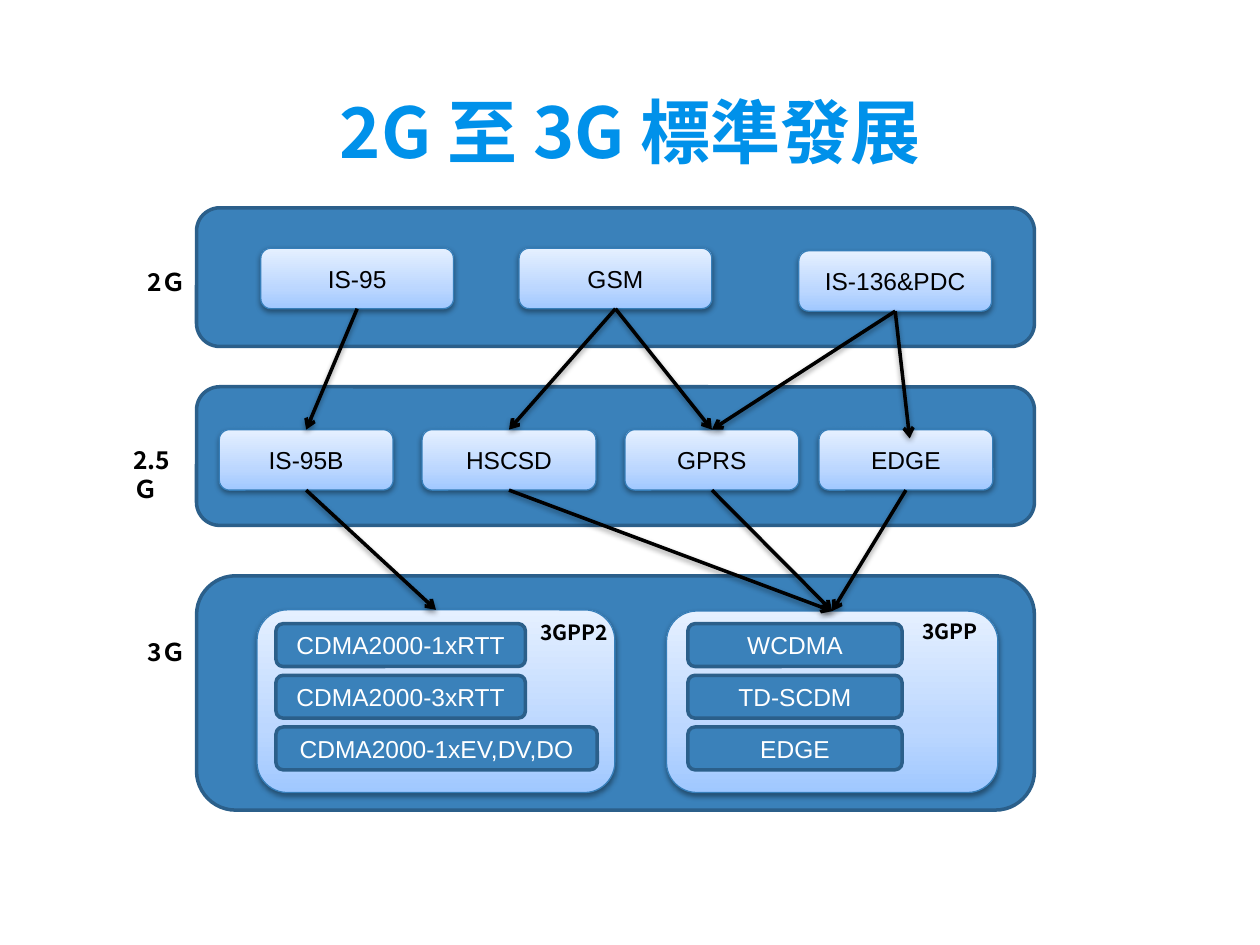
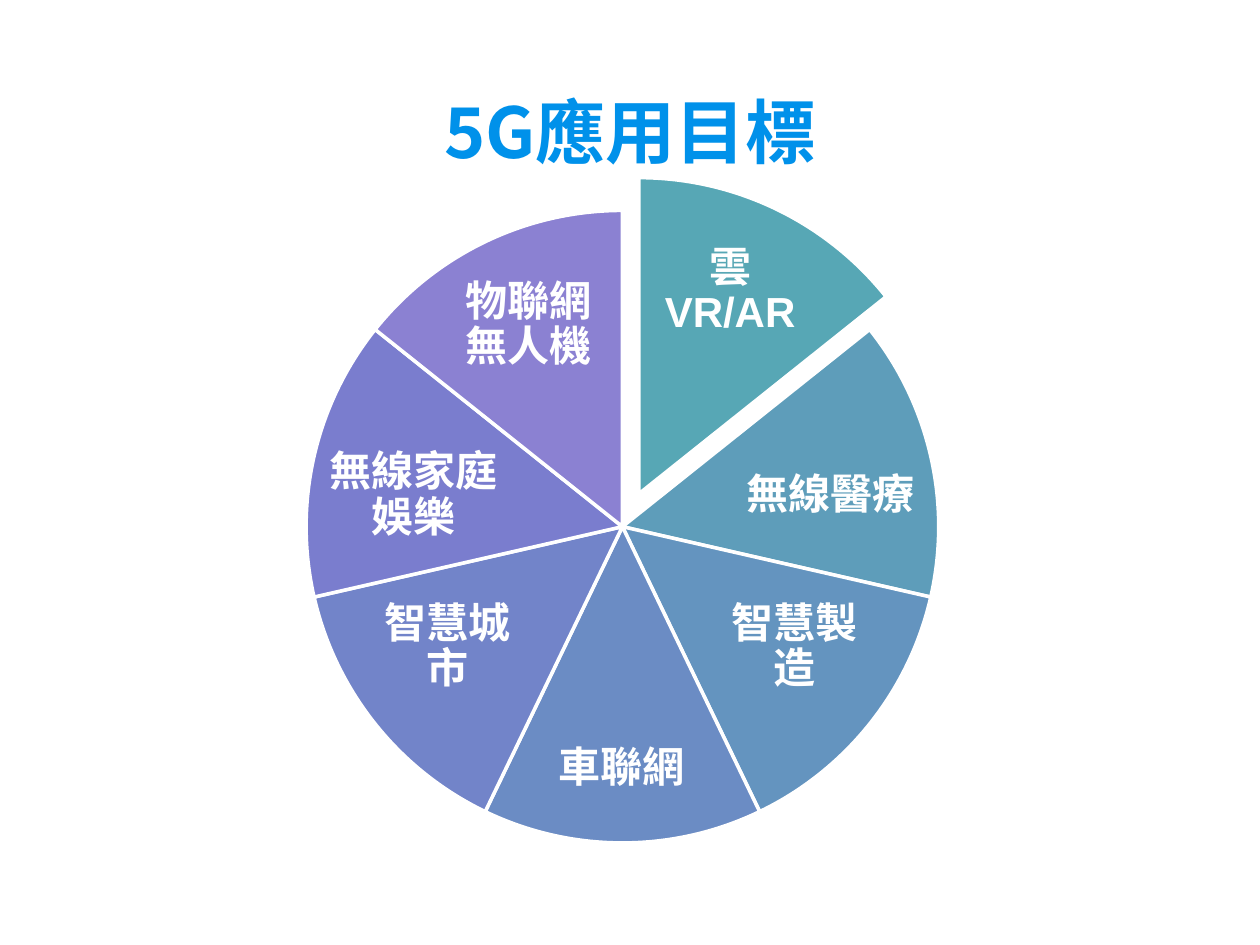
from pptx import Presentation
from pptx.dml.color import RGBColor as RGB
from pptx.enum.shapes import MSO_CONNECTOR as LINE, MSO_SHAPE as FORM
from pptx.enum.text import MSO_ANCHOR as ANCHOR, MSO_AUTO_SIZE as FIT, PP_ALIGN as ALIGN
from pptx.oxml import parse_xml
from pptx.oxml.ns import nsdecls, qn
from pptx.util import Inches, Pt

COLS, ROWS = 100, 75
WIDE, HIGH = Inches(10), Inches(7.5)

BLACK = RGB(0x00, 0x00, 0x00)
WHITE = RGB(0xFF, 0xFF, 0xFF)
SKY = RGB(0x00, 0x91, 0xEA)
BLUE = RGB(0x3A, 0x81, 0xBA)
NAVY = RGB(0x2B, 0x5F, 0x8A)
EDGE = RGB(0x36, 0x7E, 0xB9)
FADE = [(0, RGB(0xA0, 0xC8, 0xFF)), (35, RGB(0xBC, 0xD7, 0xFF)),
        (100, RGB(0xE5, 0xF0, 0xFF))]
SANS, HAN = "Arial", "Noto Sans CJK SC"

TOP, BOTTOM = 0, 2

# Left and top of the label, then top and height of the band
BANDS = [("2Ｇ", 10.7, 20.7, 5.2, 16.5, 11),
         ("2.5Ｇ", 9.6, 34.8, 6.8, 30.7, 11),
         ("3Ｇ", 10.7, 50.1, 5.2, 45.7, 18.6)]
NODES = {"IS-95": (20.7, 19.7, 15.3), "GSM": (41.2, 19.7, 15.3),
         "IS-136&PDC": (63.4, 19.9, 15.3),
         "IS-95B": (17.4, 34.1, 13.8), "HSCSD": (33.5, 34.1, 13.8),
         "GPRS": (49.6, 34.1, 13.8), "EDGE": (65, 34.1, 13.8)}
# Panel box, label box, left of the items, then items with their widths
PANELS = {"3GPP2": ((20.4, 48.4, 28.4, 14.5), (41.9, 48.7, 7.4, 3), 21.9,
                    [("CDMA2000-1xRTT", 19.8), ("CDMA2000-3xRTT", 19.8),
                     ("CDMA2000-1xEV,DV,DO", 25.5)]),
          "3GPP": ((52.9, 48.5, 26.3, 14.4), (72.2, 48.6, 6.4, 3), 54.6,
                   [("WCDMA", 17), ("TD-SCDM", 17), ("EDGE", 17)])}
LINKS = [("IS-95", "IS-95B"), ("GSM", "HSCSD"), ("GSM", "GPRS"),
         ("IS-136&PDC", "GPRS"), ("IS-136&PDC", (72.2, 34.8)),
         ("IS-95B", "3GPP2"), ("HSCSD", "3GPP"), ("GPRS", "3GPP"),
         ("EDGE", "3GPP")]

# Label, its box and the slice colour, clockwise from the top
GOALS = [("雲 VR/AR", (51.1, 18.8, 13.7, 8.7), RGB(0x57, 0xA7, 0xB5)),
         ("無線醫療", (58.6, 34.7, 14.6, 9.3), RGB(0x5E, 0x9D, 0xBA)),
         ("智慧製造", (56.5, 46.6, 13.1, 9.6), RGB(0x64, 0x94, 0xBF)),
         ("車聯網", (42.6, 56.2, 13.4, 9.6), RGB(0x6B, 0x8C, 0xC4)),
         ("智慧城市", (29, 46.6, 13.1, 9.6), RGB(0x72, 0x84, 0xC9)),
         ("無線家庭娛樂", (25.5, 34.7, 14.6, 9.3), RGB(0x7A, 0x7D, 0xCE)),
         ("物聯網無人機", (35.1, 21.5, 13.7, 8.7), RGB(0x8B, 0x81, 0xD2))]


def cells(x, y, w=0, h=0):
    """Turn columns and rows of the grid into slide lengths."""
    return (round(WIDE * x / COLS), round(HIGH * y / ROWS),
            round(WIDE * w / COLS), round(HIGH * h / ROWS))


def write(frame, text, size=14, font=SANS, color=BLACK, bold=False,
          align=ALIGN.CENTER, anchor=ANCHOR.MIDDLE, inset=None,
          lead=None, after=None):
    frame.vertical_anchor = anchor
    if inset is not None:
        frame.margin_left = frame.margin_right = Inches(inset)
        frame.margin_top = frame.margin_bottom = Inches(inset)
    para = frame.paragraphs[0]
    para.alignment = align
    if lead:
        para.line_spacing = lead
    if after:
        para.space_after = Pt(after)
    run = para.add_run()
    run.text = text
    run.font.size, run.font.bold = Pt(size), bold
    run.font.color.rgb = color
    run.font.name = font
    run._r.get_or_add_rPr().append(
        parse_xml(f'<a:ea {nsdecls("a")} typeface="{HAN}"/>'))


def shade(props):
    """Give the shape properties a soft shadow below."""
    for old in props.findall(qn("a:effectLst")):
        props.remove(old)
    props.append(parse_xml(
        f'<a:effectLst {nsdecls("a")}><a:outerShdw blurRad="40000" '
        'dist="20000" dir="5400000" rotWithShape="0"><a:srgbClr val="000000">'
        '<a:alpha val="38000"/></a:srgbClr></a:outerShdw></a:effectLst>'))


def draw(shapes, form, box, fill, line, width=2):
    item = shapes.add_shape(form, *cells(*box))
    item.shadow.inherit = False
    item.fill.solid()
    item.fill.fore_color.rgb = fill
    item.line.color.rgb = line
    item.line.width = Pt(width)
    return item


def block(slide, box, text=None):
    item = draw(slide.shapes, FORM.ROUNDED_RECTANGLE, box, BLUE, NAVY)
    if text:
        write(item.text_frame, text, color=WHITE)
    return item


def card(slide, box, text=None):
    """Draw a pale, shaded box with a gradient from its foot up."""
    item = draw(slide.shapes, FORM.ROUNDED_RECTANGLE, box, WHITE, EDGE, 0.75)
    props = item._element.spPr
    stops = "".join(f'<a:gs pos="{pos * 1000}"><a:srgbClr val="{tone}"/></a:gs>'
                    for pos, tone in FADE)
    props.replace(props.find(qn("a:solidFill")), parse_xml(
        f'<a:gradFill {nsdecls("a")} rotWithShape="1"><a:gsLst>{stops}</a:gsLst>'
        '<a:lin ang="16200000" scaled="0"/></a:gradFill>'))
    shade(props)
    if text:
        write(item.text_frame, text)
    return item


def label(slide, box, text, size):
    frame = slide.shapes.add_textbox(*cells(*box)).text_frame
    frame.word_wrap = False
    frame.auto_size = FIT.SHAPE_TO_FIT_TEXT
    write(frame, text, size=size, font=HAN, bold=True,
          align=ALIGN.LEFT, anchor=ANCHOR.TOP)


def arrow(slide, start, end):
    """Run from the foot of a card to the top of another, or to a point."""
    point = cells(*end)[:2] if isinstance(end, tuple) else (0, 0)
    link = slide.shapes.add_connector(LINE.STRAIGHT, 0, 0, *point)
    link.begin_connect(start, BOTTOM)
    if not isinstance(end, tuple):
        link.end_connect(end, TOP)
    link.line.color.rgb = BLACK
    link.line.width = Pt(2)
    props = link._element.spPr
    props.find(qn("a:ln")).append(
        parse_xml(f'<a:tailEnd {nsdecls("a")} type="arrow"/>'))
    shade(props)


def page(deck, text):
    """Add a slide with the shared title."""
    slide = deck.slides.add_slide(deck.slide_layouts[5])
    title = slide.shapes.title
    title.left, title.top, title.width, title.height = cells(8.6, 4.5, 82.8, 10.2)
    write(title.text_frame, text, size=40, font=HAN, color=SKY, bold=True,
          anchor=ANCHOR.BOTTOM, inset=0.1)
    return slide


def growth(deck):
    slide = page(deck, "2G 至 3G 標準發展")
    for text, x, y, w, top, high in BANDS:
        block(slide, (15.6, top, 66.5, high))
        label(slide, (x, y, w, 3.4), text, 14)
    ends = {name: card(slide, (*spot, 4.8), name)
            for name, (*spot,) in NODES.items()}
    for name, (box, tag, left, items) in PANELS.items():
        ends[name] = card(slide, box)
        for row, (text, wide) in enumerate(items):
            block(slide, (left, 49.5 + 4.1 * row, wide, 3.4), text)
        label(slide, tag, name, 12)
    for start, end in LINKS:
        arrow(slide, ends[start], ends.get(end, end))


def goals(deck):
    shapes = page(deck, "5G應用目標").shapes.add_group_shape().shapes
    step = 360 / len(GOALS)
    for turn, (text, box, tone) in enumerate(GOALS):
        spot = (24.3, 16.7) if turn else (25.6, 14.1)
        part = draw(shapes, FORM.PIE, (*spot, 50.2, 50.2), tone, WHITE)
        for side in (0, 1):
            angle = (270 + step * (turn + side)) % 360
            part.adjustments[side] = angle * 0.6
        frame = shapes.add_textbox(*cells(*box)).text_frame
        frame.word_wrap = True
        write(frame, text, size=24, color=WHITE, bold=True,
              inset=0.03, lead=0.9, after=8.4)


def main():
    deck = Presentation()
    deck.slide_width, deck.slide_height = WIDE, HIGH
    growth(deck)
    goals(deck)
    deck.save("out.pptx")


if __name__ == "__main__":
    main()
